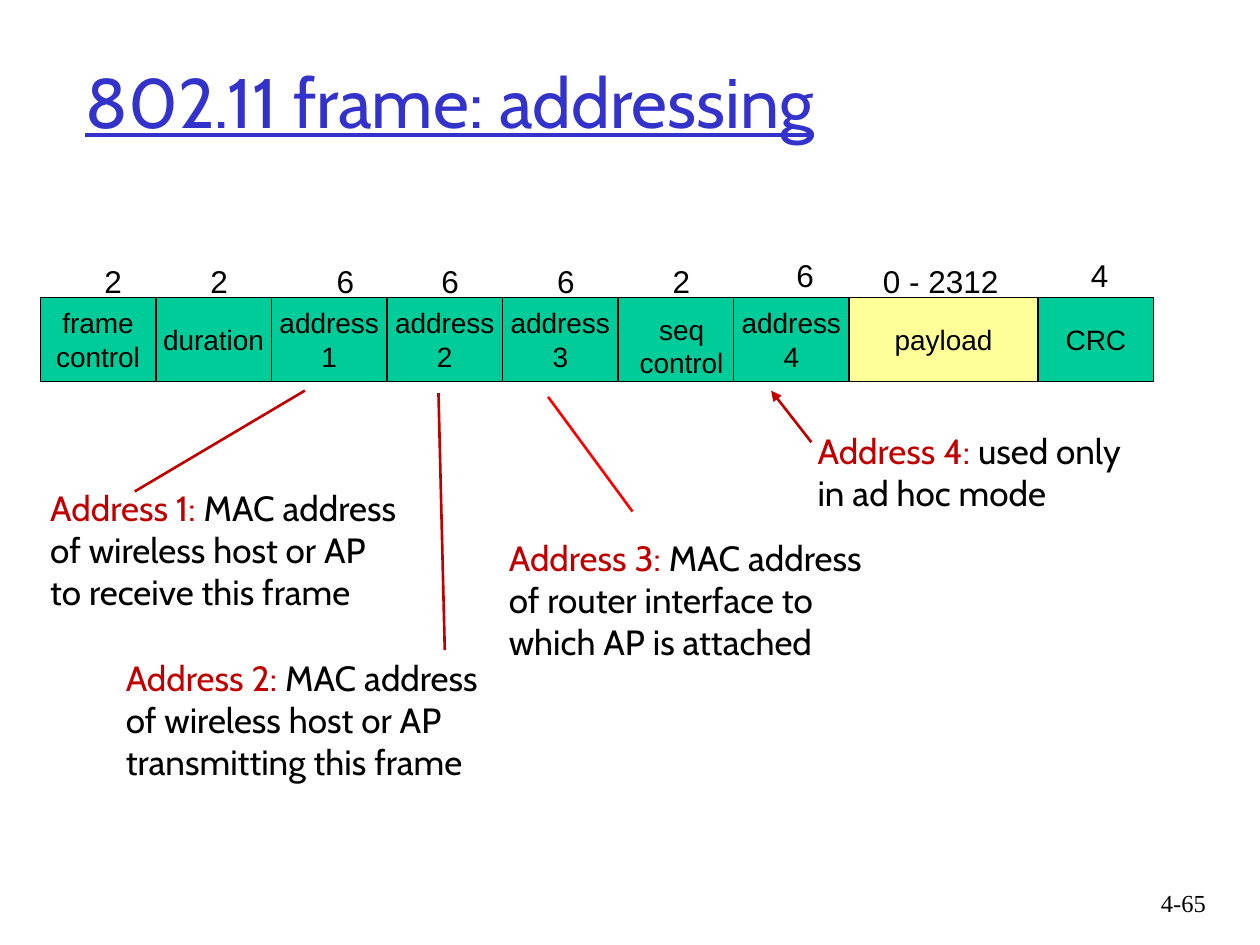
from collections import namedtuple
from itertools import accumulate

from lxml.etree import SubElement
from pptx import Presentation
from pptx.dml.color import RGBColor
from pptx.enum.shapes import MSO_CONNECTOR, MSO_SHAPE
from pptx.enum.text import MSO_ANCHOR, PP_ALIGN
from pptx.oxml.ns import qn
from pptx.util import Inches, Pt

BLACK = RGBColor(0x00, 0x00, 0x00)
BLUE = RGBColor(0x33, 0x33, 0xCC)
GREEN = RGBColor(0x00, 0xCC, 0x99)
YELLOW = RGBColor(0xFF, 0xFF, 0x99)
DARK_RED = RGBColor(0xC0, 0x00, 0x00)
RED = RGBColor(0xFF, 0x00, 0x00)

# The slide is a grid of 100 columns by 75 rows
WIDTH, HEIGHT = Inches(10), Inches(7.5)
COLUMN, ROW = WIDTH / 100, HEIGHT / 75

Box = namedtuple("Box", "left top width height")
Field = namedtuple("Field", "name size columns color size_shift size_rise name_shift",
                   defaults=(9.17, GREEN, 3.35, 0, None))
Callout = namedtuple("Callout", "box address lines wrap start end color arrow")

# size_shift: columns from the field's left edge to its byte count
FIELDS = [
    Field("frame\ncontrol", "2", size_shift=4.1),
    Field("duration", "2"),
    Field("address\n1", "6", size_shift=4.2),
    Field("address\n2", "6"),
    Field("address\n3", "6"),
    Field("seq\ncontrol", "2", name_shift=(0.7, 0.7)),
    Field("address\n4", "6", size_shift=4, size_rise=0.5),
    Field("payload", "0 - 2312", 15, YELLOW, 1.7),
    Field("CRC", "4", size_shift=3.2, size_rise=0.5),
]

# Pointer ends are offsets from the top left of the callout
CALLOUTS = [
    Callout(Box(3, 38.1, 29.9, 11.1), "Address 1: ",
            ["MAC address", "of wireless host or AP", "to receive this frame"],
            False, (7.7, 0.9), (21.2, -7.1), DARK_RED, False),
    Callout(Box(9, 51.6, 29.9, 11.1), "Address 2: ",
            ["MAC address", "of wireless host or AP", "transmitting this frame"],
            False, (26.3, 0), (25.8, -20.4), DARK_RED, False),
    Callout(Box(39.4, 42.1, 33.4, 11.1), "Address 3: ",
            ["MAC address", "of router interface to which AP is attached"],
            True, (10.8, -1.5), (4.1, -10.6), RED, False),
    Callout(Box(63.9, 33.6, 28.5, 7.7), "Address 4: ",
            ["used only in ad hoc mode"],
            True, (0.5, 1.5), (-2.7, -2.6), DARK_RED, True),
]


def place(box):
    return (round(box.left * COLUMN), round(box.top * ROW),
            round(box.width * COLUMN), round(box.height * ROW))


def style(paragraph, font, size, color=None, align=PP_ALIGN.LEFT):
    paragraph.alignment = align
    paragraph.font.name = font
    paragraph.font.size = Pt(size)
    if color is not None:
        paragraph.font.color.rgb = color


def write(frame, text, font, size, color=BLACK, align=PP_ALIGN.LEFT, wrap=False):
    frame.word_wrap = wrap
    frame.text = text
    for paragraph in frame.paragraphs:
        style(paragraph, font, size, color, align)


def add_title(slide, box):
    frame = slide.shapes.add_textbox(*place(box)).text_frame
    frame.vertical_anchor = MSO_ANCHOR.MIDDLE
    write(frame, "802.11 frame: addressing", "Cabin", 40, BLUE, wrap=True)
    frame.paragraphs[0].font.underline = True


def add_frame_format(slide, box):
    """Row of frame fields, each with its length in bytes above it."""
    shapes = slide.shapes.add_group_shape().shapes
    lefts = list(accumulate((f.columns for f in FIELDS), initial=box.left))

    for field, left in zip(FIELDS, lefts):
        cell_box = Box(left, box.top, field.columns, box.height)
        cell = shapes.add_shape(MSO_SHAPE.RECTANGLE, *place(cell_box))
        cell.shadow.inherit = False
        cell.fill.solid()
        cell.fill.fore_color.rgb = field.color
        cell.line.color.rgb = BLACK
        cell.line.width = Pt(0.75)
        if field.name_shift is None:
            cell.text_frame.vertical_anchor = MSO_ANCHOR.MIDDLE
            write(cell.text_frame, field.name, "Arial", 16, align=PP_ALIGN.CENTER)

    for field, left in zip(FIELDS, lefts):
        size_box = Box(left + field.size_shift, box.top - 3.3 - field.size_rise,
                       11.2 if len(field.size) > 1 else 3.4, 4)
        write(shapes.add_textbox(*place(size_box)).text_frame, field.size, "Arial", 18)

        # A name set off from its cell stands in a box of its own
        if field.name_shift is not None:
            right, down = field.name_shift
            name_box = Box(left + right, box.top + down, 8.7, 6.4)
            write(shapes.add_textbox(*place(name_box)).text_frame,
                  field.name, "Arial", 16, align=PP_ALIGN.CENTER)


def add_pointer(slide, box, callout):
    ends = [round(length) for dx, dy in (callout.start, callout.end)
            for length in ((box.left + dx) * COLUMN, (box.top + dy) * ROW)]
    pointer = slide.shapes.add_connector(MSO_CONNECTOR.STRAIGHT, *ends)
    pointer.line.color.rgb = callout.color
    pointer.line.width = Pt(1.5)
    if callout.arrow:
        SubElement(pointer.line._get_or_add_ln(), qn("a:tailEnd"), type="triangle")
    SubElement(pointer._element.spPr, qn("a:effectLst"))


def add_callout(slide, box, callout):
    """Explanation of one address field, with the line that points to it."""
    frame = slide.shapes.add_textbox(*place(box)).text_frame
    frame.word_wrap = callout.wrap
    first_line, *other_lines = callout.lines

    heading = frame.paragraphs[0]
    style(heading, "Cabin", 20)
    for text, color in ((callout.address, DARK_RED), (first_line, BLACK)):
        run = heading.add_run()
        run.text = text
        run.font.color.rgb = color

    for text in other_lines:
        paragraph = frame.add_paragraph()
        paragraph.text = text
        style(paragraph, "Cabin", 20, BLACK)

    add_pointer(slide, box, callout)


def add_page_number(slide, box):
    frame = slide.shapes.add_textbox(*place(box)).text_frame
    write(frame, "4-65", "Times New Roman", 14, align=PP_ALIGN.RIGHT, wrap=True)


def main():
    presentation = Presentation()
    presentation.slide_width, presentation.slide_height = WIDTH, HEIGHT
    slide = presentation.slides.add_slide(presentation.slide_layouts[6])

    add_frame_format(slide, Box(3.2, 23.6, 88.3, 6.7))
    add_title(slide, Box(5.8, 1.7, 70.1, 12.5))
    for callout in CALLOUTS:
        add_callout(slide, callout.box, callout)
    add_page_number(slide, Box(89.3, 70, 7.4, 5))

    presentation.save("out.pptx")


if __name__ == "__main__":
    main()
